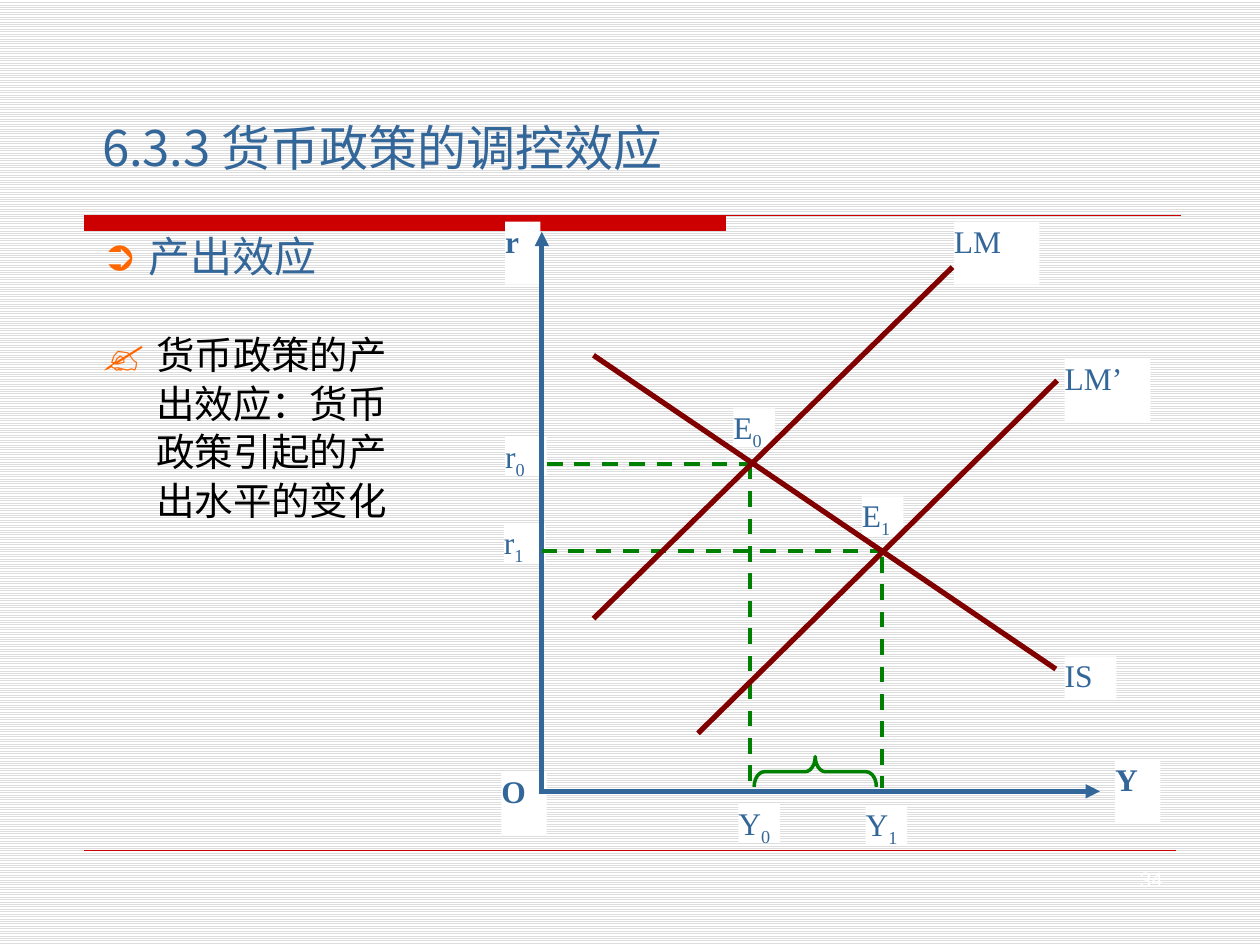
"""Build the slide on the output effect of monetary policy in the IS-LM model."""
from lxml.etree import SubElement
from pptx import Presentation
from pptx.dml.color import RGBColor
from pptx.enum.dml import MSO_LINE, MSO_PATTERN
from pptx.enum.shapes import MSO_CONNECTOR, MSO_SHAPE
from pptx.enum.text import MSO_ANCHOR, MSO_AUTO_SIZE, PP_ALIGN
from pptx.oxml.ns import qn
from pptx.util import Inches, Pt

BLUE = RGBColor(0x33, 0x66, 0x99)
RED = RGBColor(0xCC, 0x00, 0x00)
ORANGE = RGBColor(0xFF, 0x66, 0x00)
GREEN = RGBColor(0x00, 0x80, 0x00)
MAROON = RGBColor(0x80, 0x00, 0x00)
BLACK = RGBColor(0x00, 0x00, 0x00)
WHITE = RGBColor(0xFF, 0xFF, 0xFF)
GREY = RGBColor(0xDD, 0xDD, 0xDD)
SANS = "Noto Sans CJK SC"
SERIF = "Times New Roman"

deck = Presentation()
deck.slide_width, deck.slide_height = Inches(10), Inches(7.5)
COLUMN = deck.slide_width / 10
ROW = deck.slide_height / 7.5
page = deck.slides.add_slide(deck.slide_layouts[3])
backdrop = page.background.fill
backdrop.patterned()
backdrop.pattern = MSO_PATTERN.LIGHT_HORIZONTAL
backdrop.fore_color.rgb = GREY
backdrop.back_color.rgb = WHITE


def write(box, place, runs, size, colour, align=PP_ALIGN.LEFT, anchor=MSO_ANCHOR.TOP):
    """Place a box and fill its paragraph with (text, font, bold, baseline) runs."""
    left, top, width, height = place
    box.left, box.top = int(left * COLUMN), int(top * ROW)
    box.width, box.height = int(width * COLUMN), int(height * ROW)
    frame = box.text_frame
    frame.margin_left = frame.margin_top = frame.margin_right = frame.margin_bottom = 0
    frame.word_wrap, frame.auto_size = True, MSO_AUTO_SIZE.NONE
    frame.vertical_anchor = anchor
    para = frame.paragraphs[0]
    para.alignment, para.space_before = align, Pt(0)
    for text, font, bold, baseline in runs:
        span = para.add_run()
        span.text = text
        span.font.name, span.font.size, span.font.bold = font, Pt(size), bold
        span.font.color.rgb = colour
        SubElement(span.font._element, qn("a:ea"), typeface=font)
        if baseline:
            span.font._element.set("baseline", str(baseline))
    return para


def draw(start, end, colour, width):
    """Draw a straight line between two grid points."""
    line = page.shapes.add_connector(
        MSO_CONNECTOR.STRAIGHT, int(start[0] * COLUMN), int(start[1] * ROW),
        int(end[0] * COLUMN), int(end[1] * ROW))
    line.line.color.rgb, line.line.width = colour, Pt(width)
    SubElement(line._element.spPr, qn("a:effectLst"))
    return line


title, heading, body = page.placeholders
para = write(title, (0.81, 0.84, 5.14, 0.56),
             [("6.3.3 货币政策的调控效应", SANS, False, 0)], 28, BLUE)
para.line_spacing = 1.2
heading_para = write(heading, (0.81, 1.83, 4.17, 0.4),
                     [(" ", "Arial", False, 0), ("产出效应", SANS, False, 0)],
                     24, BLUE, anchor=MSO_ANCHOR.MIDDLE)
body_para = write(body, (0.81, 2.61, 2.3, 1.9),
                  [("货币政策的产出效应：货币政策引起的产出水平的变化", SANS, False, 0)], 22, BLACK)
body_para.line_spacing = 1.05
for para, bullet, percent, indent in [(heading_para, "➲", 100, 0), (body_para, "✍", 120, 0.43)]:
    properties = para._p.get_or_add_pPr()
    properties.set("marL", str(Inches(indent)))
    properties.set("indent", str(-Inches(indent)))
    SubElement(SubElement(properties, qn("a:buClr")), qn("a:srgbClr"), val=str(ORANGE))
    SubElement(properties, qn("a:buSzPct"), val=str(percent * 1000))
    SubElement(properties, qn("a:buChar"), char=bullet)

builder = page.shapes.build_freeform(67, 171, scale=(COLUMN / 100, ROW / 100))
builder.add_line_segments([(576, 171), (576, 183), (67, 183)], close=True)
builder.move_to(67, 171)
builder.add_line_segments([(937, 171)], close=False)
title_rule = builder.convert_to_shape()
title_rule.shadow.inherit = False
title_rule.fill.solid()
title_rule.fill.fore_color.rgb = RED
title_rule.line.color.rgb, title_rule.line.width = RED, Pt(0.75)
draw((0.67, 6.75), (9.33, 6.75), RED, 0.25)
write(page.shapes.add_textbox(0, 0, 0, 0), (8.23, 6.88, 1, 0.22),
      [("34", "Arial", False, 0)], 12, WHITE, PP_ALIGN.RIGHT)

SMALL = (0.33, 0.31)
for name, index, bold, corner, size in [
    ("E", "0", False, (5.82, 3.24), SMALL),
    ("E", "1", False, (6.84, 3.94), SMALL),
    ("Y", "0", False, (5.86, 6.38), SMALL),
    ("Y", "1", False, (6.87, 6.39), SMALL),
    ("r", "1", False, (4, 4.15), SMALL),
    ("r", "0", False, (4.01, 3.47), SMALL),
    ("O", "", True, (3.98, 6.13), (0.36, 0.5)),
    ("r", "", True, (4.01, 1.76), (0.28, 0.5)),
    ("Y", "", True, (8.85, 6.03), (0.36, 0.5)),
    ("IS", "", False, (8.45, 5.21), (0.41, 0.34)),
    ("LM", "", False, (7.57, 1.76), (0.68, 0.5)),
    ("LM’", "", False, (8.45, 2.85), (0.68, 0.5)),
]:
    label = page.shapes.add_shape(MSO_SHAPE.RECTANGLE, 0, 0, 0, 0)
    label.shadow.inherit = False
    label.fill.solid()
    label.fill.fore_color.rgb = WHITE
    label.line.fill.background()
    runs = [(name, SERIF, bold, 0)]
    if index:
        runs.append((index, SERIF, bold, -25000))
    write(label, corner + size, runs, 18, BLUE, PP_ALIGN.JUSTIFY)

for start, end in [((4.3, 6.28), (8.73, 6.28)), ((4.3, 6.3), (4.3, 1.84))]:
    axis = draw(start, end, BLUE, 2.75)
    SubElement(axis.line._get_or_add_ln(), qn("a:tailEnd"), type="triangle")

for start, end in [
    ((5.95, 3.68), (5.95, 6.2)), ((5.99, 3.68), (4.34, 3.68)),
    ((7.03, 4.37), (4.3, 4.37)), ((7, 4.42), (7, 6.25)),
]:
    draw(start, end, GREEN, 2.25).line.dash_style = MSO_LINE.DASH

for start, end in [
    ((4.71, 2.82), (8.38, 5.31)), ((4.71, 4.91), (7.56, 2.12)), ((5.54, 5.82), (8.39, 3.02)),
]:
    draw(start, end, MAROON, 3)

brace = page.shapes.add_shape(MSO_SHAPE.LEFT_BRACE, int(6.35 * COLUMN), int(5.64 * ROW),
                              int(0.24 * COLUMN), int(0.97 * ROW))
brace.rotation = 90
brace.adjustments[0], brace.adjustments[1] = 0.34, 0.5
brace.shadow.inherit = False
brace.fill.background()
brace.line.color.rgb, brace.line.width = GREEN, Pt(2)

deck.save("out.pptx")
